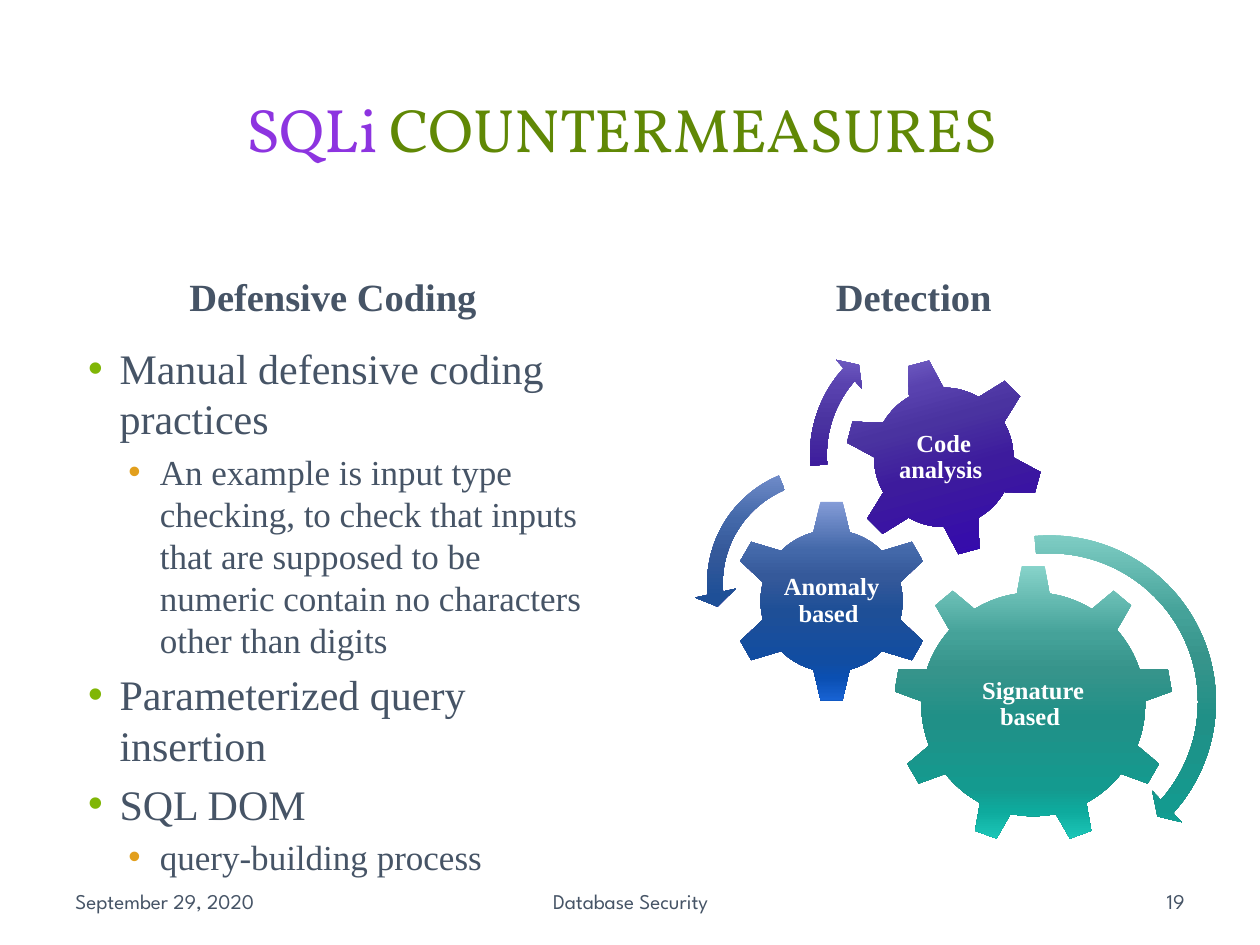
from lxml.etree import SubElement
from pptx import Presentation
from pptx.dml.color import RGBColor
from pptx.enum.shapes import MSO_SHAPE as Preset
from pptx.enum.text import MSO_ANCHOR as Anchor, PP_ALIGN as Align
from pptx.oxml.ns import qn
from pptx.util import Inches, Pt

SERIF, TITLE_FONT, FOOTER_FONT = "Times New Roman", "Vollkorn", "League Spartan"
SLATE = RGBColor(0x46, 0x54, 0x66)
WHITE = RGBColor(0xFF, 0xFF, 0xFF)
PURPLE = RGBColor(0x8D, 0x34, 0xE0)
OLIVE = RGBColor(0x60, 0x88, 0x05)
LEAF = RGBColor(0x80, 0xB6, 0x06)
AMBER = RGBColor(0xE2, 0x9F, 0x1D)

# Gradient colours from top to bottom, one for each stop
STOPS = (0, 25, 38, 55, 80, 88, 100)
TEAL, BLUE, VIOLET = (
    [RGBColor.from_string(code) for code in codes.split()] for codes in (
        "88D4CB 45A299 36948B 209087 149A8F 0EAA9D 1ECCBD",
        "879ED9 4368A9 35599A 1E4F97 114DA2 0A4FB2 1964D6",
        "9285DF 5942AF 4A33A0 3D1B9D 360DAA 3405BB 4614E0"))

deck = Presentation()
deck.slide_width, deck.slide_height = Inches(10), Inches(7.5)
slide = deck.slides.add_slide(deck.slide_layouts[6])

# Square grid of 100 columns by 75 rows
UNIT = deck.slide_width / 100
LEFT, RIGHT, COLUMN = 4.7, 50.8, 44.2


def add_text(area, runs, size, font, align=Align.LEFT, anchor=Anchor.MIDDLE, bold=False):
    """Add a one-paragraph text box; area is in grid units, runs are (text, colour)."""
    box = slide.shapes.add_textbox(*(round(n * UNIT) for n in area))
    frame = box.text_frame
    frame.word_wrap = True
    frame.vertical_anchor = anchor
    paragraph = frame.paragraphs[0]
    paragraph.alignment = align
    for text, colour in runs:
        run = paragraph.add_run()
        run.text = text
        run.font.name, run.font.size, run.font.bold = font, Pt(size), bold
        run.font.color.rgb = colour
    return frame


def add_round(preset, x, y, diameter, colours):
    """Add a gradient shape centred on grid point x, y."""
    corner = [round((n - diameter / 2) * UNIT) for n in (x, y)]
    side = round(diameter * UNIT)
    shape = slide.shapes.add_shape(preset, *corner, side, side)
    shape.shadow.inherit = False
    shape.line.fill.background()
    shape.fill.gradient()
    shape.fill.gradient_angle = 270
    stop_list = shape.element.spPr.find(".//" + qn("a:gsLst"))
    stop_list.clear()
    for position, colour in zip(STOPS, colours):
        stop = SubElement(stop_list, qn("a:gs"), pos=str(position * 1000))
        SubElement(stop, qn("a:srgbClr"), val=str(colour))
    return shape


# Title and column headings
add_text((LEFT, 4.5, 90.3, 11.4), [("SQLi ", PURPLE), ("COUNTERMEASURES ", OLIVE)],
         35, TITLE_FONT, Align.CENTER)
for column, heading in ((LEFT, "Defensive Coding "), (RIGHT, "Detection ")):
    add_text((column, 18.8, COLUMN, 7), [(heading, SLATE)], 22, SERIF,
             Align.CENTER, Anchor.BOTTOM, bold=True)

# Defensive coding list
LEVELS = ((24, 0.38, LEAF), (20, 0.7, AMBER))
practices = (
    (0, "Manual defensive coding practices"),
    (1, "An example is input type checking, to check that inputs that are "
        "supposed to be numeric contain no characters other than digits"),
    (0, "Parameterized query insertion"),
    (0, "SQL DOM"),
    (1, "query-building process"),
)
coding = add_text((LEFT, 26.7, COLUMN, 40.3), [], 24, SERIF, anchor=Anchor.TOP)
for index, (level, practice) in enumerate(practices):
    size, indent, bullet_colour = LEVELS[level]
    paragraph = coding.add_paragraph() if index else coding.paragraphs[0]
    paragraph.level = level
    properties = paragraph._p.get_or_add_pPr()
    properties.set("marL", str(Inches(indent)))
    properties.set("indent", str(Inches(-0.25)))
    bullet = SubElement(properties, qn("a:buClr"))
    SubElement(bullet, qn("a:srgbClr"), val=str(bullet_colour))
    SubElement(properties, qn("a:buFont"), typeface="Arial")
    SubElement(properties, qn("a:buChar"), char="•")
    if index:
        paragraph.space_before = Pt(size * 0.2)
    run = paragraph.add_run()
    run.text = practice
    run.font.name, run.font.size = SERIF, Pt(size)
    run.font.color.rgb = SLATE

# Detection gears: preset, centre, diameter, rotation, colours, label, label width
gears = (
    (Preset.GEAR_9, 82, 55.9, 22.2, 0, TEAL, "Signature based ", 13.3),
    (Preset.GEAR_6, 66, 47.7, 16.1, 0, BLUE, "Anomaly based ", 8.2),
    (Preset.GEAR_6, 74.9, 36.3, 15.8, 345, VIOLET, "Code analysis ", 8.9),
)
for preset, x, y, diameter, rotation, colours, label, width in gears:
    add_round(preset, x, y, diameter, colours).rotation = rotation
    frame = add_text((x - width / 2, y - 4.5, width, 9), [(label, WHITE)], 14, SERIF,
                     Align.CENTER, bold=True)
    frame.margin_left = frame.margin_right = Inches(0.02)
    frame.margin_top = frame.margin_bottom = Inches(0.02)
    frame.paragraphs[0].line_spacing = 0.9

# Turning arrows around the gears
arrows = (
    (Preset.CIRCULAR_ARROW, 83.3, 55.7, 28.4, TEAL, (0.05, 2.99, 25.03, 158.9, 0.06)),
    (Preset.LEFT_CIRCULAR_ARROW, 65.4, 46.3, 20.6, BLUE, (0.06, 4.3, 104.89, 148.38, 0.08)),
    (Preset.CIRCULAR_ARROW, 74.5, 36.1, 22.2, VIOLET, (0.06, 3.94, 133.14, 105.08, 0.07)),
)
for preset, x, y, diameter, colours, bends in arrows:
    arrow = add_round(preset, x, y, diameter, colours)
    for index, bend in enumerate(bends):
        arrow.adjustments[index] = bend

# Footer
for column, width, text, align in ((5, 23.3, "September 29, 2020", Align.LEFT),
                                   (34.2, 31.7, "Database Security", Align.CENTER),
                                   (71.7, 23.3, "19", Align.RIGHT)):
    add_text((column, 69.5, width, 4), [(text, SLATE)], 12, FOOTER_FONT, align)

deck.save("out.pptx")
